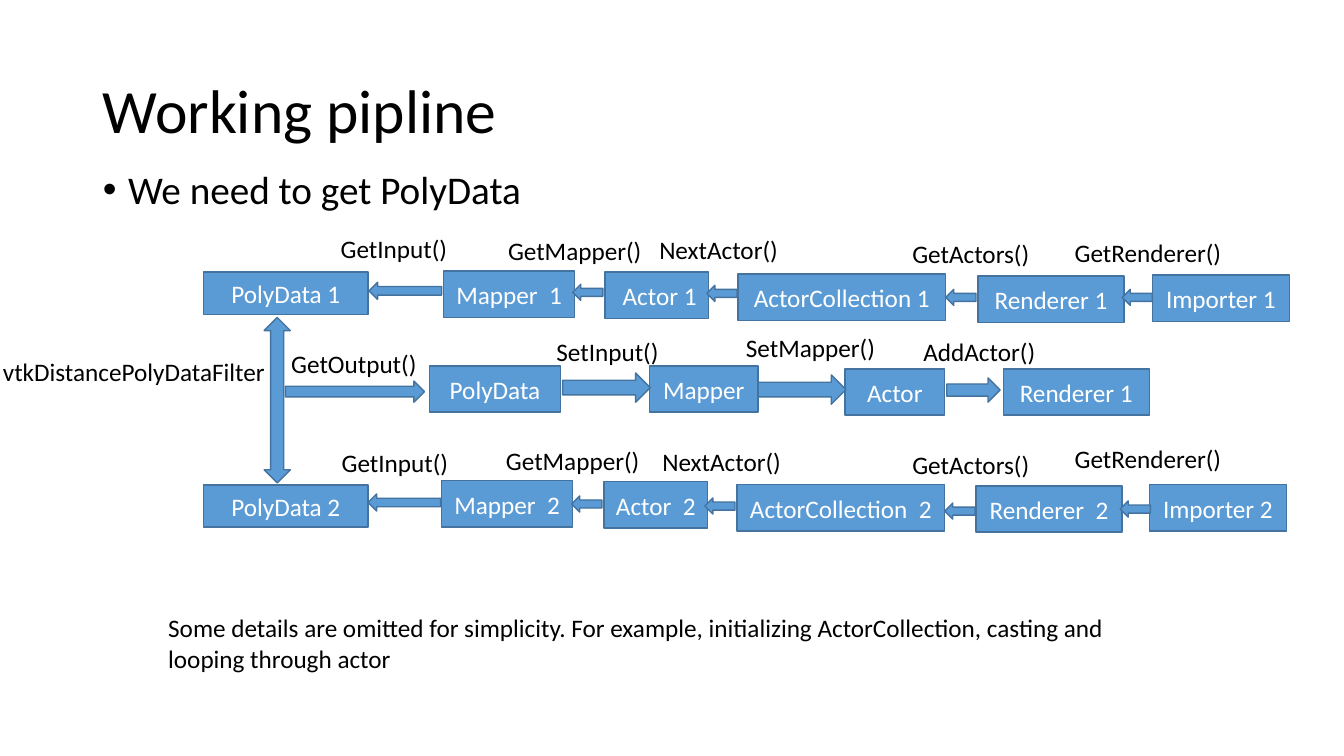
from dataclasses import dataclass

from lxml import etree
from pptx import Presentation
from pptx.dml.color import RGBColor
from pptx.enum.shapes import MSO_SHAPE
from pptx.enum.text import MSO_ANCHOR, MSO_AUTO_SIZE, PP_ALIGN
from pptx.oxml.ns import qn
from pptx.util import Emu, Pt

RECTANGLE = MSO_SHAPE.RECTANGLE
RIGHT_ARROW = MSO_SHAPE.RIGHT_ARROW
UP_DOWN_ARROW = MSO_SHAPE.UP_DOWN_ARROW
LEFT, CENTER = PP_ALIGN.LEFT, PP_ALIGN.CENTER
MIDDLE = MSO_ANCHOR.MIDDLE
FIT_SHAPE = MSO_AUTO_SIZE.SHAPE_TO_FIT_TEXT
NO_FIT = MSO_AUTO_SIZE.NONE

EMU_PER_PX = 9144  # 100 px to the inch
BOX_HEIGHT = 46
LABEL_WIDTH, LABEL_HEIGHT = 179, 40


@dataclass(frozen=True)
class Theme:
    font: str = "Calibri"
    text: RGBColor = RGBColor(0x00, 0x00, 0x00)
    box_text: RGBColor = RGBColor(0xFF, 0xFF, 0xFF)
    fill: RGBColor = RGBColor(0x5B, 0x9B, 0xD5)
    line: RGBColor = RGBColor(0x43, 0x73, 0x9E)
    title_size: int = 44
    body_size: int = 28
    label_size: int = 18
    line_width: int = 1


THEME = Theme()

# Each input row: (text, left, top, width, height)
INPUT_BOXES = [
    ("PolyData 1", 202, 270, 163, 42),
    ("Mapper  1", 440, 269, 130, BOX_HEIGHT),
    (" Actor 1", 600, 270, 103, BOX_HEIGHT),
    ("ActorCollection 1", 732, 272, 206, BOX_HEIGHT),
    ("Renderer 1", 970, 274, 145, BOX_HEIGHT),
    ("Importer 1", 1143, 273, 136, BOX_HEIGHT),
    ("PolyData 2", 202, 481, 163, 42),
    ("Mapper  2", 438, 477, 130, BOX_HEIGHT),
    ("Actor  2", 599, 478, 103, BOX_HEIGHT),
    ("ActorCollection  2", 731, 481, 206, BOX_HEIGHT),
    ("Renderer  2", 968, 482, 145, BOX_HEIGHT),
    ("Importer 2", 1140, 481, 136, BOX_HEIGHT),
]
OUTPUT_BOXES = [
    ("PolyData", 426, 363, 130, BOX_HEIGHT),
    ("Mapper", 644, 363, 108, BOX_HEIGHT),
    ("Actor", 838, 366, 99, BOX_HEIGHT),
    ("Renderer 1", 995, 366, 145, BOX_HEIGHT),
]

# Arrows: (left, top, width, height)
INPUT_ARROWS = [
    (366, 280, 72, 17), (365, 490, 72, 17),
    *((left, top, 30, 16) for left, top in [
        (568, 282), (701, 283), (938, 287), (1113, 287),
        (567, 492), (699, 494), (937, 499), (1111, 497),
    ]),
]
OUTPUT_ARROWS = [
    (283, 378, 138, 21), (558, 370, 87, 29),
    (752, 372, 87, 29), (939, 375, 53, 24),
]

# Method names: (text, [(left, top), ...])
METHOD_LABELS = [
    ("GetInput()", [(328, 227), (329, 439)]),
    ("GetMapper()", [(494, 229), (492, 437)]),
    ("NextActor()", [(644, 228), (647, 438)]),
    ("GetActors()", [(895, 232), (895, 441)]),
    ("GetRenderer()", [(1056, 231), (1056, 435)]),
    ("GetOutput()", [(279, 341)]),
    ("SetInput()", [(542, 329)]),
    ("SetMapper()", [(730, 325)]),
    ("AddActor()", [(906, 329)]),
]
FILTER_NAME = "vtkDistancePolyDataFilter"
FOOTNOTE = ("Some details are omitted for simplicity. For example, initializing "
            "ActorCollection, casting and looping through actor")


def px(*lengths):
    return [Emu(length * EMU_PER_PX) for length in lengths]


def write_text(shape, text, size, color, alignment=LEFT):
    shape.text_frame.text = text
    paragraph = shape.text_frame.paragraphs[0]
    paragraph.alignment = alignment
    paragraph.font.name = THEME.font
    paragraph.font.size = Pt(size)
    paragraph.font.color.rgb = color
    return paragraph


def fill_placeholder(placeholder, text, size, left, top, width, height):
    placeholder.left, placeholder.top, placeholder.width, placeholder.height = px(
        left, top, width, height)
    paragraph = write_text(placeholder, text, size, THEME.text)
    paragraph.line_spacing = 0.9
    placeholder.text_frame.auto_size = NO_FIT
    return paragraph


def set_bullet(paragraph, indent):
    """Give the paragraph a round bullet with a hanging indent in px."""
    properties = paragraph._p.get_or_add_pPr()
    hang = px(indent)[0]
    properties.set("marL", str(hang))
    properties.set("indent", str(-hang))
    etree.SubElement(properties, qn("a:buFont")).set("typeface", "Arial")
    etree.SubElement(properties, qn("a:buChar")).set("char", "•")


def add_block(slide, kind, left, top, width, height):
    """Add a preset shape in the diagram's fill and outline."""
    shape = slide.shapes.add_shape(kind, *px(left, top, width, height))
    shape.shadow.inherit = False
    shape.fill.solid()
    shape.fill.fore_color.rgb = THEME.fill
    shape.line.color.rgb = THEME.line
    shape.line.width = Pt(THEME.line_width)
    return shape


def add_box(slide, text, left, top, width, height):
    box = add_block(slide, RECTANGLE, left, top, width, height)
    box.text_frame.vertical_anchor = MIDDLE
    write_text(box, text, THEME.label_size, THEME.box_text, CENTER)


def add_label(slide, text, left, top, width=LABEL_WIDTH, height=LABEL_HEIGHT):
    label = slide.shapes.add_textbox(*px(left, top, width, height))
    label.text_frame.word_wrap = True
    label.text_frame.auto_size = FIT_SHAPE
    write_text(label, text, THEME.label_size, THEME.text)


def main():
    presentation = Presentation()
    presentation.slide_width, presentation.slide_height = px(1333, 750)
    slide = presentation.slides.add_slide(presentation.slide_layouts[1])

    fill_placeholder(slide.shapes.title, "Working pipline", THEME.title_size,
                     92, 40, 1150, 145)
    slide.shapes.title.text_frame.vertical_anchor = MIDDLE
    bullet = fill_placeholder(slide.placeholders[1], "We need to get PolyData",
                              THEME.body_size, 92, 164, 1150, 511)
    bullet.space_before = Pt(10)
    set_bullet(bullet, 25)

    for box in INPUT_BOXES + OUTPUT_BOXES:
        add_box(slide, *box)
    add_block(slide, UP_DOWN_ARROW, 262, 315, 26, 164)
    for arrow in INPUT_ARROWS:
        add_block(slide, RIGHT_ARROW, *arrow).rotation = 180
    for arrow in OUTPUT_ARROWS:
        add_block(slide, RIGHT_ARROW, *arrow)

    for text, places in METHOD_LABELS:
        for left, top in places:
            add_label(slide, text, left, top)
    add_label(slide, FILTER_NAME, -7, 349, 299)
    add_label(slide, FOOTNOTE, 157, 603, 1020, 71)

    presentation.save("out.pptx")


if __name__ == "__main__":
    main()
